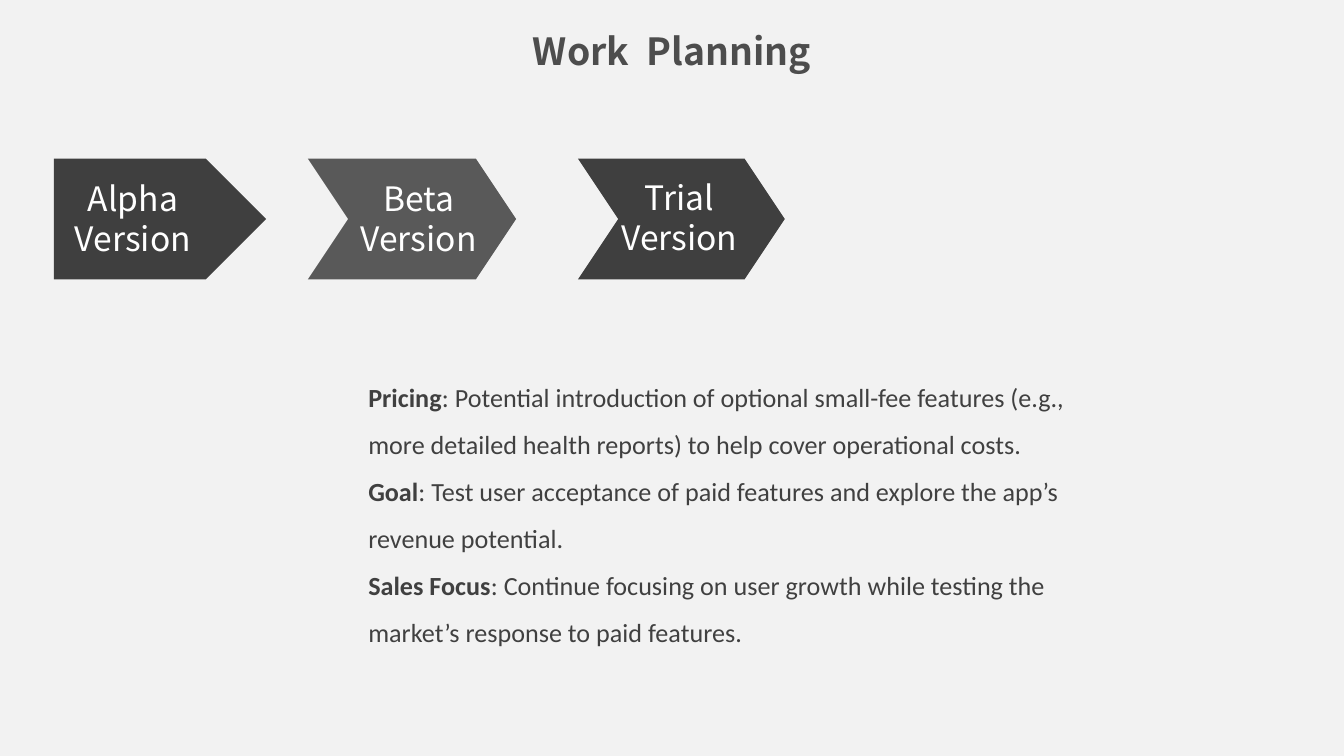
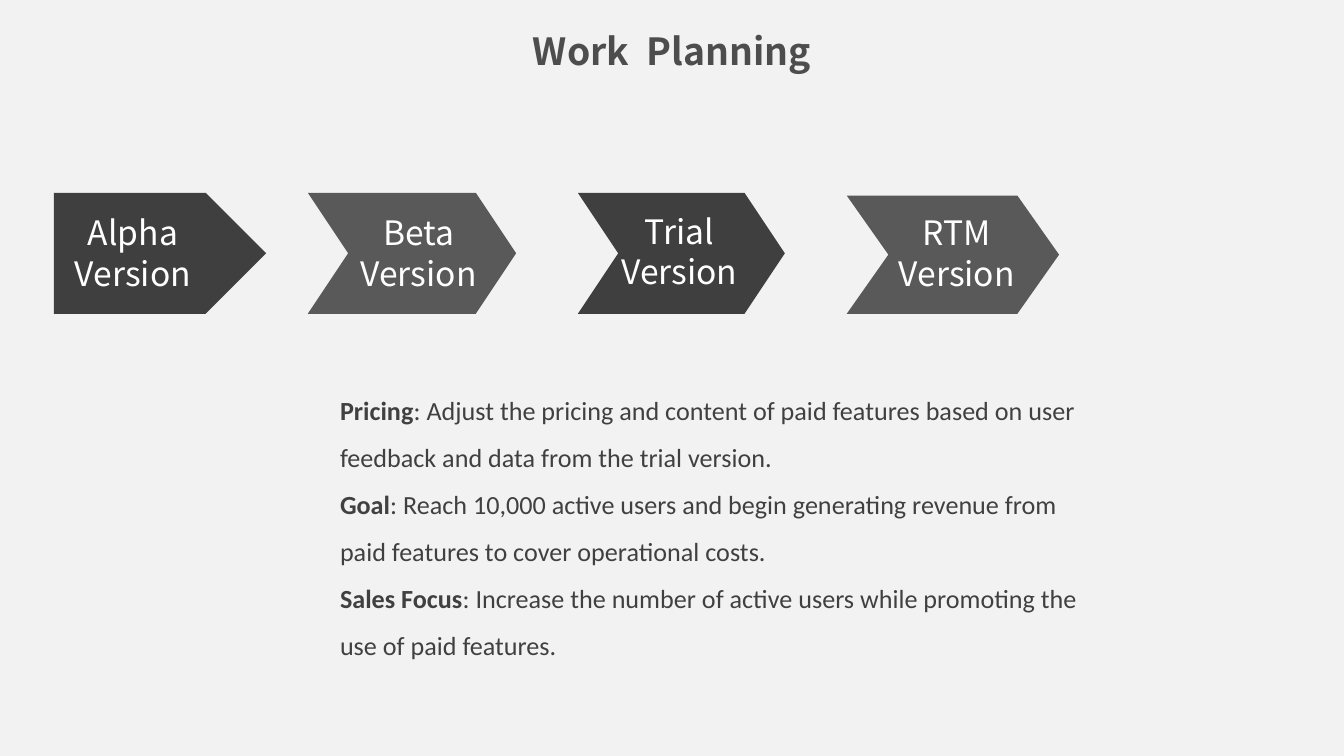
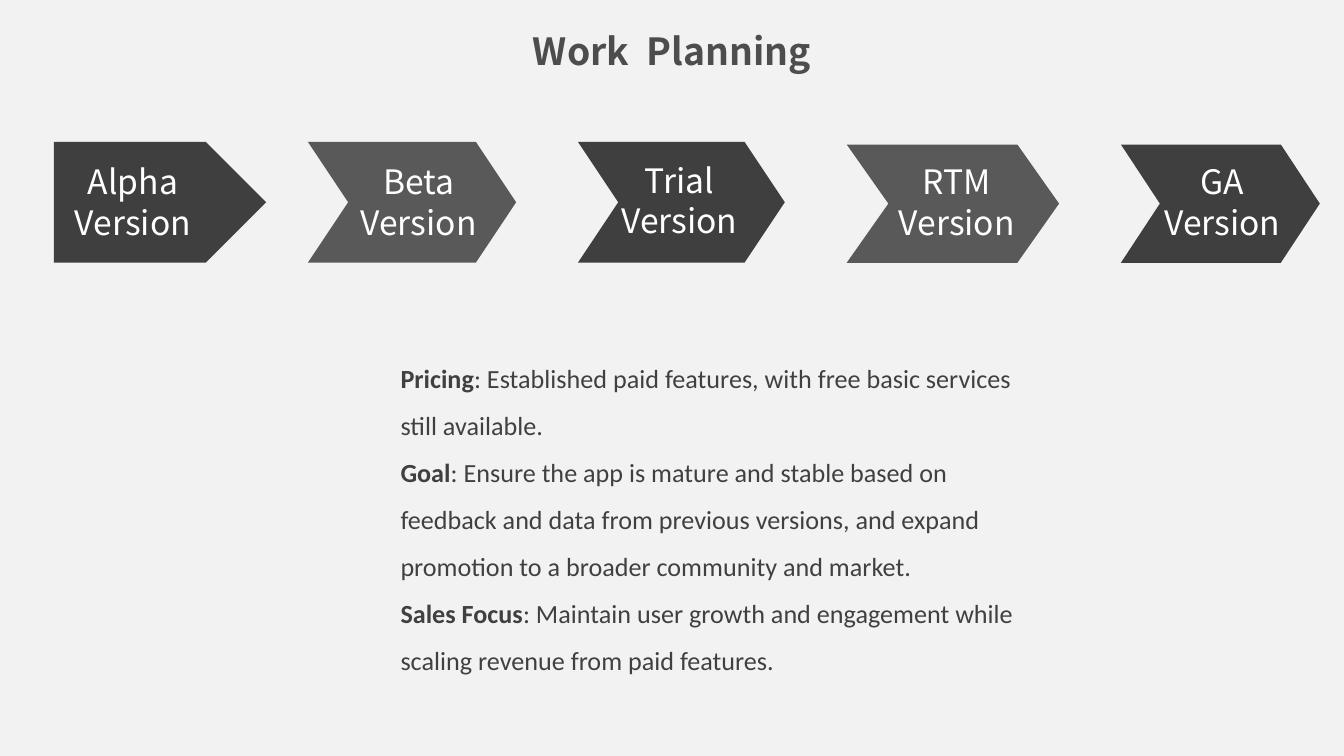
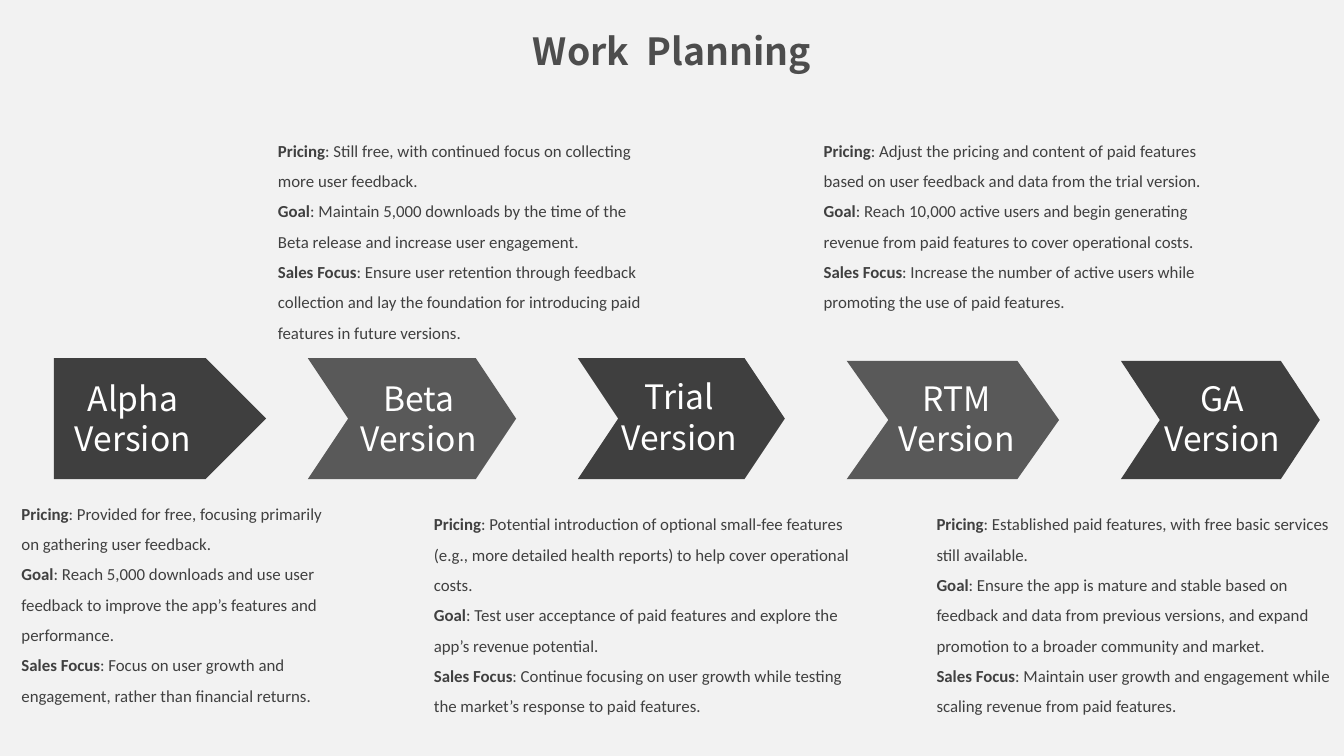
from collections import namedtuple

from lxml import etree
from pptx import Presentation
from pptx.dml.color import RGBColor
from pptx.enum.shapes import MSO_SHAPE
from pptx.enum.text import MSO_ANCHOR, MSO_AUTO_SIZE, PP_ALIGN
from pptx.oxml.ns import qn
from pptx.util import Emu, Pt

PENTAGON = MSO_SHAPE.PENTAGON
TOP = MSO_ANCHOR.TOP
NO_AUTOFIT = MSO_AUTO_SIZE.NONE
LEFT, CENTER = PP_ALIGN.LEFT, PP_ALIGN.CENTER

EMU_PER_PX = 4572
BACKGROUND = "F2F2F2"
TITLE_GRAY = "4D4D4D"
TEXT_GRAY = "404040"
WHITE = "FFFFFF"
ARROW_GRAYS = ("3F3F3F", "595959")
HEADING_FONT = "Noto Sans CJK SC"
BODY_FONT = "Calibri"
HEADINGS = ("Pricing", "Goal", "Sales Focus")
NOTCH_SHARE = 0.195

Stage = namedtuple("Stage", "label left drop width height label_left label_drop label_width")
STAGES = (
    Stage("Alpha\nVersion", 80, 0, 316, 180, 84, 19, 228),
    Stage("Beta Version", 458, 0, 310, 180, 512, 19, 222),
    Stage("Trial Version", 860, 0, 308, 180, 876, 17, 270),
    Stage("RTM Version", 1260, 4, 316, 176, 1304, 19, 240),
    Stage("GA Version", 1668, 4, 296, 176, 1710, 19, 218),
)

ALPHA_PLAN = (
    "Provided for free, focusing primarily on gathering user feedback.",
    "Reach 5,000 downloads and use user feedback to improve the app’s features and performance.",
    "Focus on user growth and engagement, rather than financial returns.",
)
BETA_PLAN = (
    "Still free, with continued focus on collecting more user feedback.",
    "Maintain 5,000 downloads by the time of the Beta release and increase user engagement.",
    "Ensure user retention through feedback collection and lay the foundation for "
    "introducing paid features in future versions.",
)
TRIAL_PLAN = (
    "Potential introduction of optional small-fee features (e.g., more detailed health "
    "reports) to help cover operational costs.",
    "Test user acceptance of paid features and explore the app’s revenue potential.",
    "Continue focusing on user growth while testing the market’s response to paid features.",
)
RTM_PLAN = (
    "Adjust the pricing and content of paid features based on user feedback and data from "
    "the trial version.",
    "Reach 10,000 active users and begin generating revenue from paid features to cover "
    "operational costs.",
    "Increase the number of active users while promoting the use of paid features.",
)
GA_PLAN = (
    "Established paid features, with free basic services still available.",
    "Ensure the app is mature and stable based on feedback and data from previous versions, "
    "and expand promotion to a broader community and market.",
    "Maintain user growth and engagement while scaling revenue from paid features.",
)

SLIDES = (
    (3, 236, 14, [(TRIAL_PLAN, (528, 534, 1144, 444))]),
    (4, 287, 14, [(RTM_PLAN, (486, 554, 1154, 444))]),
    (5, 211, 14, [(GA_PLAN, (576, 506, 964, 514))]),
    (5, 533, 9, [
        (ALPHA_PLAN, (12, 724, 500, 338)),
        (BETA_PLAN, (394, 184, 588, 338)),
        (TRIAL_PLAN, (626, 740, 684, 338)),
        (RTM_PLAN, (1206, 184, 622, 292)),
        (GA_PLAN, (1374, 740, 626, 338)),
    ]),
)


def px(length):
    return Emu(length * EMU_PER_PX)


def color(hex_code):
    return RGBColor.from_string(hex_code)


def place(shape, box):
    shape.left, shape.top, shape.width, shape.height = map(px, box)


def set_up_frame(frame):
    frame.word_wrap = True
    frame.auto_size = NO_AUTOFIT
    frame.vertical_anchor = TOP


def style_run(run, font, size, hex_code, bold=False):
    run.font.name = font
    run.font.size = Pt(size)
    run.font.bold = bold
    run.font.color.rgb = color(hex_code)


def write_heading(shape, text, size, hex_code, bold=False):
    frame = shape.text_frame
    set_up_frame(frame)
    frame.text = text
    for paragraph in frame.paragraphs:
        paragraph.alignment = CENTER
        for run in paragraph.runs:
            style_run(run, HEADING_FONT, size, hex_code, bold)


def write_plan(shape, plan, size):
    frame = shape.text_frame
    set_up_frame(frame)
    frame.text = "\n".join(HEADINGS)
    for paragraph, detail in zip(frame.paragraphs, plan):
        properties = paragraph._p.get_or_add_pPr()
        properties.set("marL", "0")
        properties.set("indent", "0")
        etree.SubElement(properties, qn("a:buNone"))
        paragraph.alignment = LEFT
        paragraph.line_spacing = 1.5
        paragraph.space_before = Pt(0)
        style_run(paragraph.runs[0], BODY_FONT, size, TEXT_GRAY, bold=True)
        detail_run = paragraph.add_run()
        detail_run.text = f": {detail}"
        style_run(detail_run, BODY_FONT, size, TEXT_GRAY)


def add_chevron(slide, left, top, width, height):
    notch = round(width * NOTCH_SHARE)
    right, bottom, middle = left + width, top + height, top + height // 2
    builder = slide.shapes.build_freeform(left, top, scale=EMU_PER_PX)
    builder.add_line_segments([
        (right - notch, top), (right, middle), (right - notch, bottom),
        (left, bottom), (left + notch, middle),
    ], close=True)
    return builder.convert_to_shape()


def add_stage(slide, stage, row_top, position):
    box = (stage.left, row_top + stage.drop, stage.width, stage.height)
    if position == 0:
        arrow = slide.shapes.add_shape(PENTAGON, *map(px, box))
    else:
        arrow = add_chevron(slide, *box)
    arrow.shadow.inherit = False
    arrow.fill.solid()
    arrow.fill.fore_color.rgb = color(ARROW_GRAYS[position % 2])
    arrow.line.fill.background()
    label_box = (stage.label_left, row_top + stage.label_drop, stage.label_width, 62)
    label = slide.shapes.add_textbox(*map(px, label_box))
    write_heading(label, stage.label, 18, WHITE)


def add_planning_slide(presentation, stage_count, row_top, text_size, plans):
    slide = presentation.slides.add_slide(presentation.slide_layouts[1])
    title = slide.shapes.title
    place(title, (528, 32, 944, 88))
    write_heading(title, "Work  Planning", 20, TITLE_GRAY, bold=True)
    for position, stage in enumerate(STAGES[:stage_count]):
        add_stage(slide, stage, row_top, position)
    for number, (plan, box) in enumerate(plans):
        if number == 0:
            plan_box = slide.placeholders[1]
            place(plan_box, box)
        else:
            plan_box = slide.shapes.add_textbox(*map(px, box))
        write_plan(plan_box, plan, text_size)


def main():
    presentation = Presentation()
    presentation.slide_width, presentation.slide_height = px(2000), px(1125)
    backdrop = presentation.slide_master.background.fill
    backdrop.solid()
    backdrop.fore_color.rgb = color(BACKGROUND)
    for content in SLIDES:
        add_planning_slide(presentation, *content)
    presentation.save("out.pptx")


if __name__ == "__main__":
    main()
